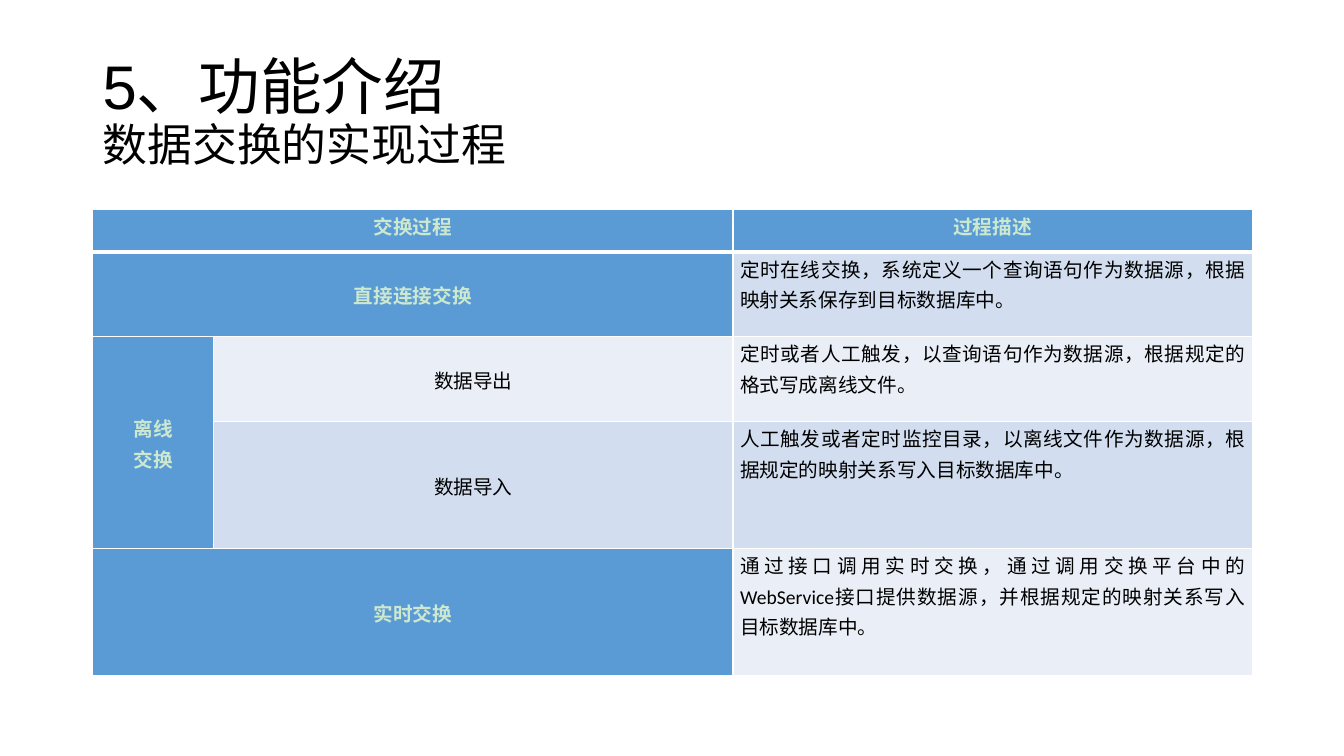
from lxml import etree
from pptx import Presentation
from pptx import util as u
from pptx.dml.color import RGBColor
from pptx.enum import text
from pptx.oxml.ns import qn

THEME = {
    "paper": "FFFFFF", "ink": "000000", "pale": "CCE8CF",
    "head": "5B9BD5", "band": "D2DEEF", "light": "EAEFF7",
    "title_font": "Arial", "table_font": "Calibri",
    "title": 44, "subtitle": 32, "cell": 14, "leading": 22,
}
MARGIN, CONTENT_W = 0.92, 11.5
COLUMNS = [1.2, 5.15, 5.15]
LINE = 0.42  # row heights are multiples of one table line
ROW_LINES = [1, 2, 2, 3, 3]


def add_run(paragraph, words, size, font, color, bold=False):
    run = paragraph.add_run()
    run.text = words
    run.font.size = u.Pt(size)
    run.font.name = font
    run.font.bold = bold
    run.font.color.rgb = RGBColor.from_string(THEME[color])


def add_border(cell, side, points):
    line = etree.SubElement(cell._tc.get_or_add_tcPr(), qn(f"a:ln{side}"),
                            w=str(u.Pt(points)))
    fill = etree.SubElement(line, qn("a:solidFill"))
    etree.SubElement(fill, qn("a:srgbClr"), val=THEME["paper"])


deck = Presentation()
deck.slide_width, deck.slide_height = u.Inches(13.33), u.Inches(7.5)
slide = deck.slides.add_slide(deck.slide_layouts[6])
slide.background.fill.solid()
slide.background.fill.fore_color.rgb = RGBColor.from_string(THEME["paper"])

# Title and subtitle
heading = slide.shapes.add_textbox(u.Inches(MARGIN), u.Inches(0.4),
                                   u.Inches(CONTENT_W), u.Inches(1.45)).text_frame
heading.word_wrap = True
heading.vertical_anchor = text.MSO_ANCHOR.MIDDLE
heading_line = heading.paragraphs[0]
heading_line.line_spacing = 0.9
add_run(heading_line, "5、功能介绍", THEME["title"], THEME["title_font"], "ink")
heading_line.add_line_break()
add_run(heading_line, "数据交换的实现过程", THEME["subtitle"], THEME["title_font"], "ink")

# Table grid
processes = slide.shapes.add_table(
    len(ROW_LINES), len(COLUMNS), u.Inches(MARGIN), u.Inches(2.08),
    u.Inches(CONTENT_W), u.Inches(LINE * sum(ROW_LINES))).table
for column, width in zip(processes.columns, COLUMNS):
    column.width = u.Inches(width)
for row, lines in zip(processes.rows, ROW_LINES):
    row.height = u.Inches(LINE * lines)

# Wording by row; None is covered by a merged cell
CONTENT = [
    ["交换过程", None, "过程描述"],
    ["直接连接交换", None,
     "定时在线交换，系统定义一个查询语句作为数据源，根据映射关系保存到目标数据库中。"],
    ["离线\n交换", "数据导出",
     "定时或者人工触发，以查询语句作为数据源，根据规定的格式写成离线文件。"],
    [None, "数据导入",
     "人工触发或者定时监控目录，以离线文件作为数据源，根据规定的映射关系写入目标数据库中。"],
    ["实时交换", None,
     "通过接口调用实时交换，通过调用交换平台中的WebService接口提供数据源，并根据规定的映射关系写入目标数据库中。"],
]
for r in (0, 1, 4):
    processes.cell(r, 0).merge(processes.cell(r, 1))
processes.cell(2, 0).merge(processes.cell(3, 0))

# Cell style and wording
for r, row_words in enumerate(CONTENT):
    for c, words in enumerate(row_words):
        cell = processes.cell(r, c)
        is_head = r == 0 or c == 0
        for side in "LRTB":
            thick = (r, side) in ((0, "B"), (1, "T"))
            add_border(cell, side, 3 if thick else 1)
        shade = "head" if is_head else "band" if r % 2 else "light"
        cell.fill.solid()
        cell.fill.fore_color.rgb = RGBColor.from_string(THEME[shade])
        if words is None:
            continue
        cell.margin_left = cell.margin_right = u.Inches(0.07)
        cell.margin_top = cell.margin_bottom = 0
        is_description = r > 0 and c == 2
        cell.vertical_anchor = (text.MSO_ANCHOR.TOP if r == 0 or c == 2
                                else text.MSO_ANCHOR.MIDDLE)
        paragraph = cell.text_frame.paragraphs[0]
        paragraph.alignment = (text.PP_ALIGN.JUSTIFY if is_description
                               else text.PP_ALIGN.CENTER)
        paragraph.line_spacing = u.Pt(THEME["leading"])
        for i, part in enumerate(words.split("\n")):
            if i:
                paragraph.add_line_break()
            add_run(paragraph, part, THEME["cell"], THEME["table_font"],
                    "pale" if is_head else "ink", is_head)

deck.save("out.pptx")
